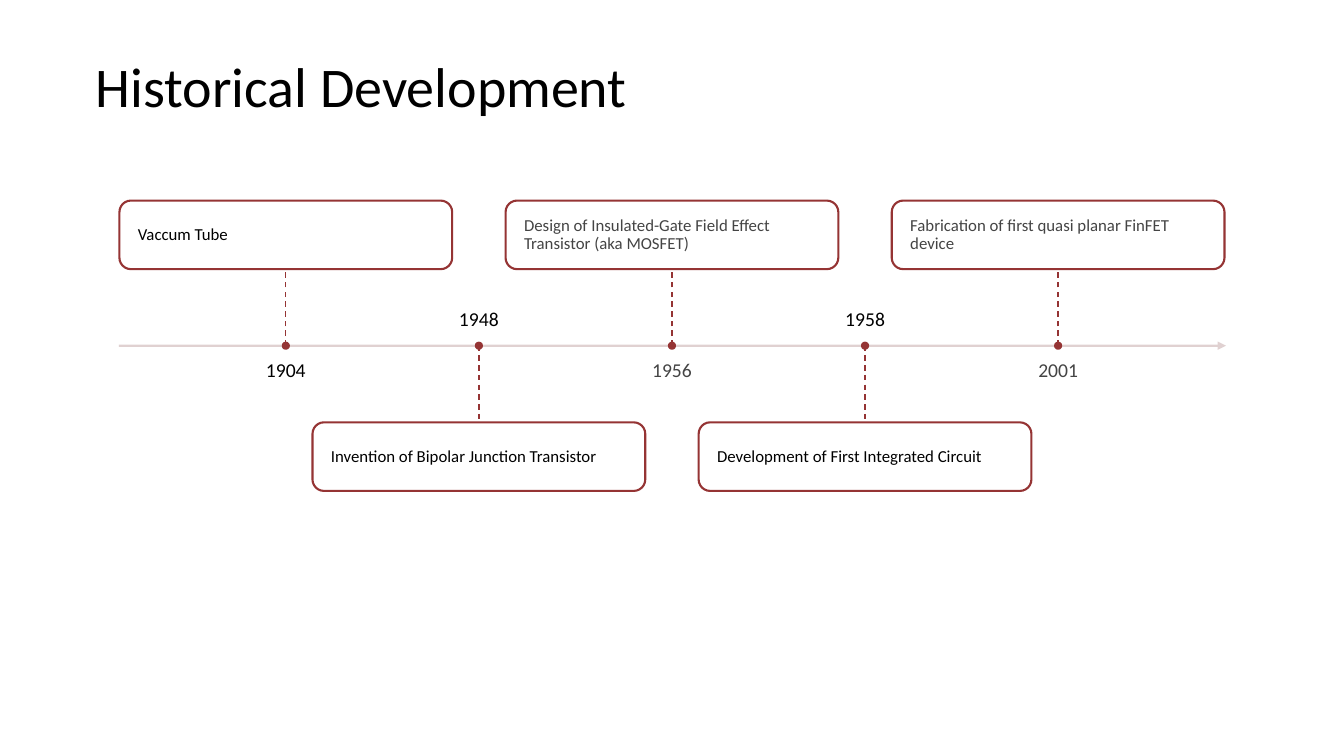
"""Build the historical development timeline slide."""
from lxml import etree
from pptx import Presentation, util as u
from pptx.dml.color import RGBColor
from pptx.enum import dml, shapes, text
from pptx.oxml.ns import qn


def rgb(value):
    return RGBColor.from_string(value)


def write(tf, words, size, color="000000", align=text.PP_ALIGN.LEFT,
          anchor=text.MSO_ANCHOR.MIDDLE, inset=None, after=0):
    tf.word_wrap = True
    tf.auto_size = text.MSO_AUTO_SIZE.NONE
    tf.vertical_anchor = anchor
    if inset is not None:
        tf.margin_left = tf.margin_right = u.Inches(inset)
        tf.margin_top = tf.margin_bottom = u.Inches(inset)
    p = tf.paragraphs[0]
    p.alignment, p.line_spacing, p.space_after = align, 0.9, u.Pt(after)
    r = p.add_run()
    r.text = words
    r.font.name, r.font.size = "Calibri", u.Pt(size)
    r.font.color.rgb = rgb(color)


RED, PALE, BLACK, GREY = "953434", "DDCDCD", "000000", "444444"
WIDTH, HEIGHT = 13.33, 7.5
AXIS, PITCH = 3.43, 1.915
BOX_W, BOX_H, STEM = 3.3, 0.68, 0.76
LABEL_W, LABEL_H, LABEL_GAP = 2.91, 0.45, 0.15
DOT = 0.06

EVENTS = [
    ("1904", "Vaccum Tube", BLACK),
    ("1948", "Invention of Bipolar Junction Transistor", BLACK),
    ("1956", "Design of Insulated-Gate Field Effect Transistor (aka MOSFET)", GREY),
    ("1958", "Development of First Integrated Circuit", BLACK),
    ("2001", "Fabrication of first quasi planar FinFET device", GREY),
]

prs = Presentation()
prs.slide_width, prs.slide_height = u.Inches(WIDTH), u.Inches(HEIGHT)
s = prs.slides.add_slide(prs.slide_layouts[5])

title = s.shapes.title
title.left, title.top = u.Inches(0.85), u.Inches(0.16)
title.width, title.height = u.Inches(11.64), u.Inches(1.45)
write(title.text_frame, "Historical Development", 40)

axis = s.shapes.add_connector(
    shapes.MSO_CONNECTOR.STRAIGHT,
    u.Inches(1.18), u.Inches(AXIS), u.Inches(12.16), u.Inches(AXIS))
axis.line.color.rgb, axis.line.width = rgb(PALE), u.Pt(1.5)
ln = axis.line._get_or_add_ln()
etree.SubElement(ln.find(".//" + qn("a:srgbClr")), qn("a:alpha"), val="90000")
etree.SubElement(ln, qn("a:tailEnd"), type="triangle")
etree.SubElement(axis._element.spPr, qn("a:effectLst"))

for i, (year, event, color) in enumerate(EVENTS):
    x = WIDTH / 2 + (i - 2) * PITCH
    above = i % 2 == 0
    box_top = AXIS - STEM - BOX_H if above else AXIS + STEM
    stem_end = AXIS - STEM if above else AXIS + STEM
    label_top = AXIS + LABEL_GAP if above else AXIS - LABEL_GAP - LABEL_H

    box = s.shapes.add_shape(
        shapes.MSO_SHAPE.ROUNDED_RECTANGLE,
        u.Inches(x - BOX_W / 2), u.Inches(box_top), u.Inches(BOX_W), u.Inches(BOX_H))
    dot = s.shapes.add_shape(
        shapes.MSO_SHAPE.OVAL,
        u.Inches(x - DOT / 2), u.Inches(AXIS - DOT / 2), u.Inches(DOT), u.Inches(DOT))
    for sp, fill in ((box, "FFFFFF"), (dot, RED)):
        sp.shadow.inherit = False
        sp.fill.solid()
        sp.fill.fore_color.rgb = rgb(fill)
        sp.line.color.rgb, sp.line.width = rgb(RED), u.Pt(1.5)
    write(box.text_frame, event, 12, color, inset=0.15, after=5)

    stem = s.shapes.add_connector(
        shapes.MSO_CONNECTOR.STRAIGHT,
        u.Inches(x), u.Inches(AXIS), u.Inches(x), u.Inches(stem_end))
    stem.line.color.rgb, stem.line.width = rgb(RED), u.Pt(1)
    stem.line.dash_style = dml.MSO_LINE.DASH
    etree.SubElement(stem._element.spPr, qn("a:effectLst"))

    label = s.shapes.add_textbox(
        u.Inches(x - LABEL_W / 2), u.Inches(label_top),
        u.Inches(LABEL_W), u.Inches(LABEL_H))
    write(label.text_frame, year, 14, color, align=text.PP_ALIGN.CENTER,
          anchor=text.MSO_ANCHOR.TOP if above else text.MSO_ANCHOR.BOTTOM,
          inset=0, after=6)

prs.save("out.pptx")
